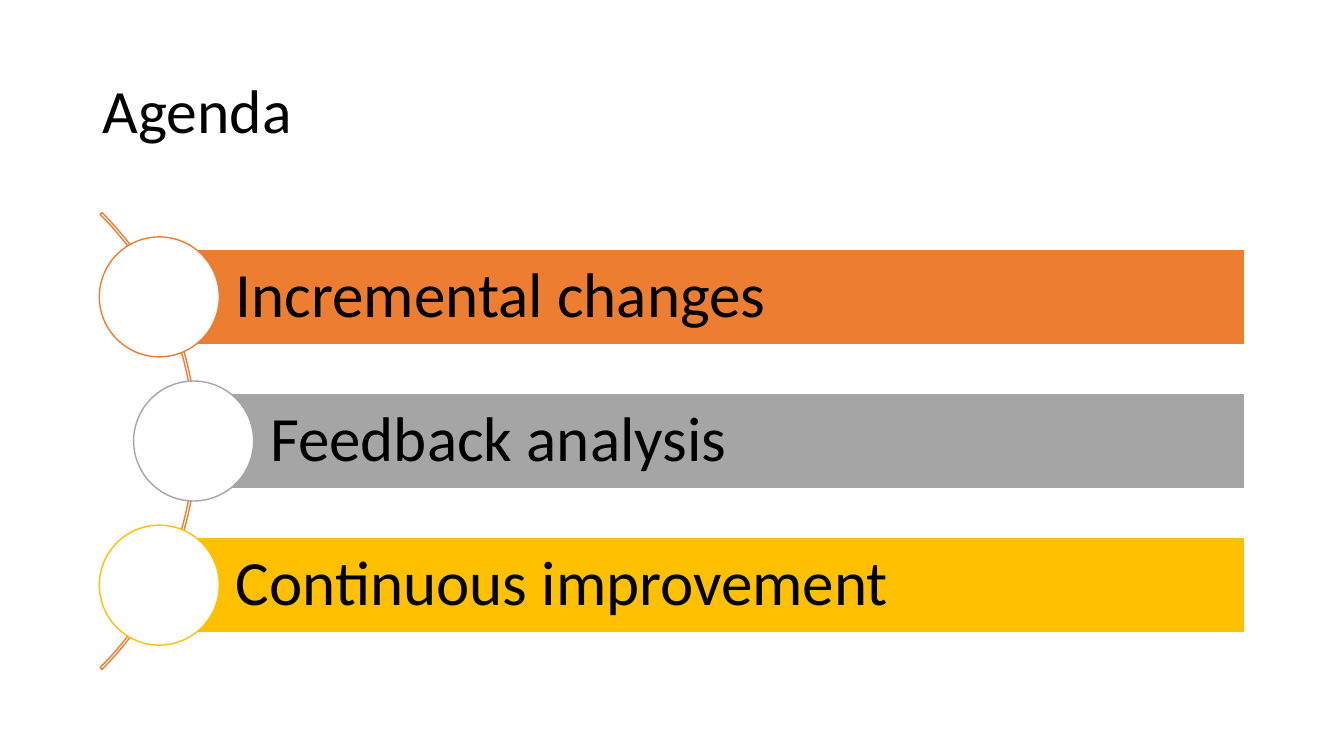
"""Build the agenda slide: three coloured bars with circles strung along an arc."""
from dataclasses import dataclass

import pptx
import pptx.dml.color
import pptx.enum.shapes
import pptx.enum.text
import pptx.shapes.autoshape
import pptx.slide
import pptx.text.text
import pptx.util

Inches = pptx.util.Inches
Pt = pptx.util.Pt
Shape = pptx.enum.shapes.MSO_SHAPE

FONT = "Calibri"
BLACK, WHITE, ORANGE, GRAY, GOLD = "000000", "FFFFFF", "ED7D31", "A5A5A5", "FFC000"

BAR_RIGHT = 12.35
BAR_HEIGHT = 0.95
FIRST_BAR_TOP = 2.47
BAR_PITCH = 1.43
CIRCLE_SIZE = 1.19


@dataclass(frozen=True)
class AgendaItem:
    topic: str
    color: str
    left: float


AGENDA = [
    AgendaItem("Incremental changes", ORANGE, 1.58),
    AgendaItem("Feedback analysis", GRAY, 1.92),
    AgendaItem("Continuous improvement", GOLD, 1.58),
]


def rgb(color: str) -> pptx.dml.color.RGBColor:
    return pptx.dml.color.RGBColor.from_string(color)


def add_outlined(slide: pptx.slide.Slide, kind: Shape, left: float, top: float,
                 width: float, height: float, fill: str | None,
                 line: str) -> pptx.shapes.autoshape.Shape:
    outlined = slide.shapes.add_shape(
        kind, Inches(left), Inches(top), Inches(width), Inches(height))
    outlined.shadow.inherit = False
    if fill is None:
        outlined.fill.background()
    else:
        outlined.fill.solid()
        outlined.fill.fore_color.rgb = rgb(fill)
    outlined.line.color.rgb = rgb(line)
    outlined.line.width = Pt(1)
    return outlined


def write(frame: pptx.text.text.TextFrame, text: str, size: float) -> None:
    frame.word_wrap = True
    frame.vertical_anchor = pptx.enum.text.MSO_ANCHOR.MIDDLE
    paragraph = frame.paragraphs[0]
    paragraph.text = text
    paragraph.alignment = pptx.enum.text.PP_ALIGN.LEFT
    paragraph.line_spacing = 0.9
    paragraph.font.name = FONT
    paragraph.font.size = Pt(size)
    paragraph.font.color.rgb = rgb(BLACK)


def add_item(slide: pptx.slide.Slide, item: AgendaItem, top: float) -> None:
    bar = add_outlined(slide, Shape.RECTANGLE, item.left, top,
                       BAR_RIGHT - item.left, BAR_HEIGHT, item.color, WHITE)
    frame = bar.text_frame
    frame.margin_left = Inches(0.76)
    frame.margin_top = frame.margin_right = frame.margin_bottom = Inches(0.12)
    write(frame, item.topic, 45)
    add_outlined(slide, Shape.OVAL, item.left - CIRCLE_SIZE / 2,
                 top + (BAR_HEIGHT - CIRCLE_SIZE) / 2,
                 CIRCLE_SIZE, CIRCLE_SIZE, WHITE, item.color)


def main() -> None:
    deck = pptx.Presentation()
    deck.slide_width, deck.slide_height = Inches(13.33), Inches(7.5)
    slide = deck.slides.add_slide(deck.slide_layouts[6])

    title = slide.shapes.add_textbox(Inches(0.92), Inches(0.4), Inches(11.5), Inches(1.45))
    write(title.text_frame, "Agenda", 44)

    arc = add_outlined(slide, Shape.BLOCK_ARC, -4.46, 1.17, 6.41, 6.41, None, ORANGE)
    for index, setting in enumerate((189, 27, 0.004)):
        arc.adjustments[index] = setting

    for row, item in enumerate(AGENDA):
        add_item(slide, item, FIRST_BAR_TOP + row * BAR_PITCH)

    deck.save("out.pptx")


if __name__ == "__main__":
    main()
